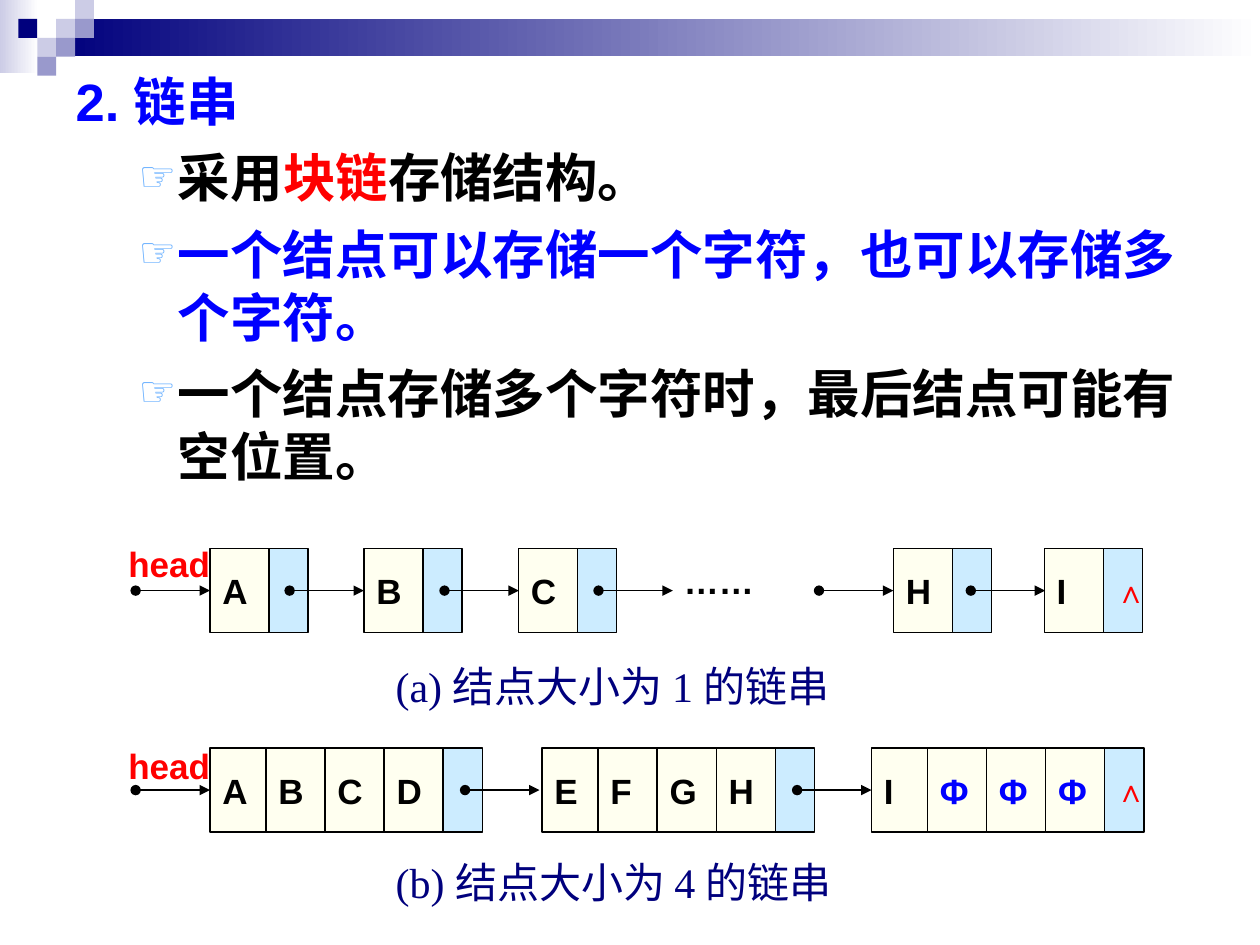
from lxml import etree
from pptx import Presentation
from pptx.dml.color import RGBColor
from pptx.enum.shapes import MSO_CONNECTOR, MSO_SHAPE
from pptx.enum.text import MSO_ANCHOR, MSO_AUTO_SIZE, PP_ALIGN
from pptx.oxml.ns import qn
from pptx.util import Pt

RECT = MSO_SHAPE.RECTANGLE
LINE = MSO_CONNECTOR.STRAIGHT
LEFT = PP_ALIGN.LEFT
MIDDLE, TOP = MSO_ANCHOR.MIDDLE, MSO_ANCHOR.TOP
NO_FIT = MSO_AUTO_SIZE.NONE

THEME = {
    "black": "000000", "white": "FFFFFF", "red": "FF0000", "blue": "0000FF",
    "navy": "00007D", "mid": "9999CC", "pale": "CCCCE6", "bullet": "67AFFF",
    "cream": "FFFFF0", "sky": "CCECFF",
    "sans": "Arial", "serif": "Times New Roman",
    "body": 30, "label": 20, "null": 18, "caption": 24,
}

# Body: (is bullet, [(text, colour)])
BODY = [
    (False, [("2. 链串", "blue")]),
    (True, [("采用", "black"), ("块链", "red"), ("存储结构。", "black")]),
    (True, [("一个结点可以存储一个字符，也可以存储多个字符。", "blue")]),
    (True, [("一个结点存储多个字符时，最后结点可能有空位置。", "black")]),
]
BODY_BOX = (36, 36, 648, 450)

CELL_W, CELL_H, ARROW = 33.75, 48, 42.5
NULL = "∧"
# Each list: nodes as (left, letters), cell offsets inside a node, arrow tips
LISTS = [
    {"top": 313.5, "head": 308, "cells": (0,), "link": (33.5, 22.5),
     "nodes": [(120, "A"), (208, "B"), (296.25, "C"), (510.5, "H"), (596.75, "I")],
     "tips": (120, 208, 296.5, 384.5, 510.5, 597.25),
     "caption": ("(a) 结点大小为 1 的链串", 374)},
    {"top": 427.5, "head": 423.5, "cells": (0, 32, 65.75, 99.5), "link": (132.25, 23.5),
     "nodes": [(120, "ABCD"), (309.75, "EFGH"), (498, "IΦΦΦ")],
     "tips": (120, 308.25, 498),
     "caption": ("(b) 结点大小为 4 的链串", 486)},
]
DOTS = ("……", (383.75, 311, 72, 42))

# Header mosaic: bands fade to white, tiles sit on a grid of equal squares
BANDS = [((0, 0, 22, 42), "pale"), ((32.5, 10.75, 687.5, 21.5), "navy")]
TILE, TILE_X = 10.8, 10.5
TILES = [(2, 1, "pale"), (3, 0, "pale"), (3, 1, "mid"), (1, 2, "pale"),
         (0, 1, "navy"), (2, 2, "mid"), (1, 3, "mid")]


def rgb(name):
    return RGBColor.from_string(THEME[name])


def points(box):
    return [Pt(v) for v in box]


def apply(obj, form):
    for name, value in form.items():
        setattr(obj, name, value)


def write(para, text, color, size, font="sans", bold=True):
    run = para.add_run()
    run.text = text
    apply(run.font, {"size": Pt(THEME[size]), "name": THEME[font], "bold": bold})
    run.font.color.rgb = rgb(color)


def frame(shape, anchor=MIDDLE, wrap=False):
    """Set up the text frame and return its first paragraph."""
    apply(shape.text_frame, {"word_wrap": wrap, "auto_size": NO_FIT,
                             "vertical_anchor": anchor})
    para = shape.text_frame.paragraphs[0]
    para.alignment = LEFT
    return para


def block(slide, box, fill, edge=None):
    shape = slide.shapes.add_shape(RECT, *points(box))
    shape.shadow.inherit = False
    shape.fill.solid()
    shape.fill.fore_color.rgb = rgb(fill)
    if edge:
        shape.line.color.rgb = rgb(edge)
        shape.line.width = Pt(0.75)
    else:
        shape.line.fill.background()
    return shape


def label(slide, box, text, color, size="label", anchor=MIDDLE, wrap=False, **form):
    shape = slide.shapes.add_textbox(*points(box))
    write(frame(shape, anchor, wrap), text, color, size, **form)


def arrow(slide, tip, y):
    line = slide.shapes.add_connector(LINE, *points((tip - ARROW, y, tip, y)))
    line.line.color.rgb = rgb("black")
    line.line.width = Pt(0.75)
    ln = line.line._get_or_add_ln()
    for end, kind in (("a:headEnd", "oval"), ("a:tailEnd", "triangle")):
        etree.SubElement(ln, qn(end), type=kind)
    etree.SubElement(line._element.spPr, qn("a:effectLst"))


def mosaic(slide):
    for box, color in BANDS:
        fill = block(slide, box, color).fill
        fill.gradient()
        fill.gradient_angle = 0
        for place, (stop, name) in enumerate(zip(fill.gradient_stops, (color, "white"))):
            stop.color.rgb = rgb(name)
            stop.position = place
    for col, row, color in TILES:
        block(slide, (TILE_X + col * TILE, row * TILE, TILE, TILE), color)


def body(slide):
    shape = slide.placeholders[1]
    apply(shape, dict(zip(("left", "top", "width", "height"), points(BODY_BOX))))
    first = frame(shape, TOP, True)
    for i, (mark, parts) in enumerate(BODY):
        para = shape.text_frame.add_paragraph() if i else first
        props = para._p.get_or_add_pPr()
        left, hang = (58.5, 22.5) if mark else (27, 27)
        props.set("marL", str(Pt(left)))
        props.set("indent", str(-Pt(hang)))
        if mark:
            tint = etree.SubElement(props, qn("a:buClr"))
            etree.SubElement(tint, qn("a:srgbClr"), val=THEME["bullet"])
            etree.SubElement(props, qn("a:buSzPct"), val="80000")
            etree.SubElement(props, qn("a:buChar"), char="☞")
        else:
            etree.SubElement(props, qn("a:buNone"))
        apply(para, {"level": int(mark), "alignment": LEFT,
                     "space_before": Pt(7.5 if i else 0)})
        for text, color in parts:
            write(para, text, color, "body")


def chain(slide, data):
    top = data["top"]
    label(slide, (66.25, data["head"], 48, 28), "head", "red")
    shift, width = data["link"]
    for left, letters in data["nodes"]:
        link = block(slide, (left + shift, top, width, CELL_H), "sky", "black")
        if left == data["nodes"][-1][0]:
            write(frame(link), NULL, "red", "null")
        for step, char in zip(data["cells"], letters):
            cell = block(slide, (left + step, top, CELL_W, CELL_H), "cream", "black")
            write(frame(cell), char, "blue" if char == "Φ" else "black", "label")
    for tip in data["tips"]:
        arrow(slide, tip, top + CELL_H / 2)
    text, y = data["caption"]
    label(slide, (219, y, 282, 36), text, "navy", "caption",
          font="serif", bold=False, anchor=TOP, wrap=True)


def main():
    deck = Presentation()
    deck.slide_width, deck.slide_height = Pt(720), Pt(540)
    slide = deck.slides.add_slide(deck.slide_layouts[1])
    title = slide.shapes.title._element
    title.getparent().remove(title)
    mosaic(slide)
    body(slide)
    for data in LISTS:
        chain(slide, data)
    text, box = DOTS
    label(slide, box, text, "black")
    deck.save("out.pptx")


if __name__ == "__main__":
    main()
